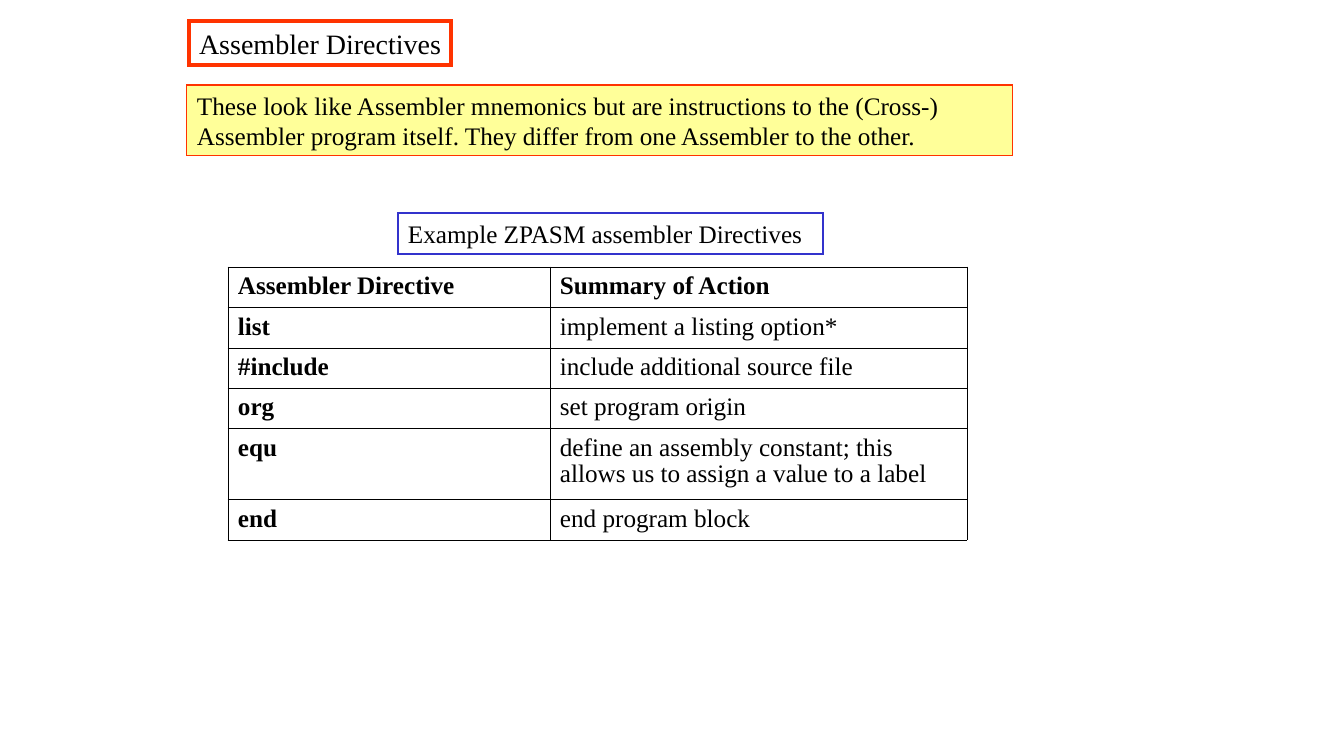
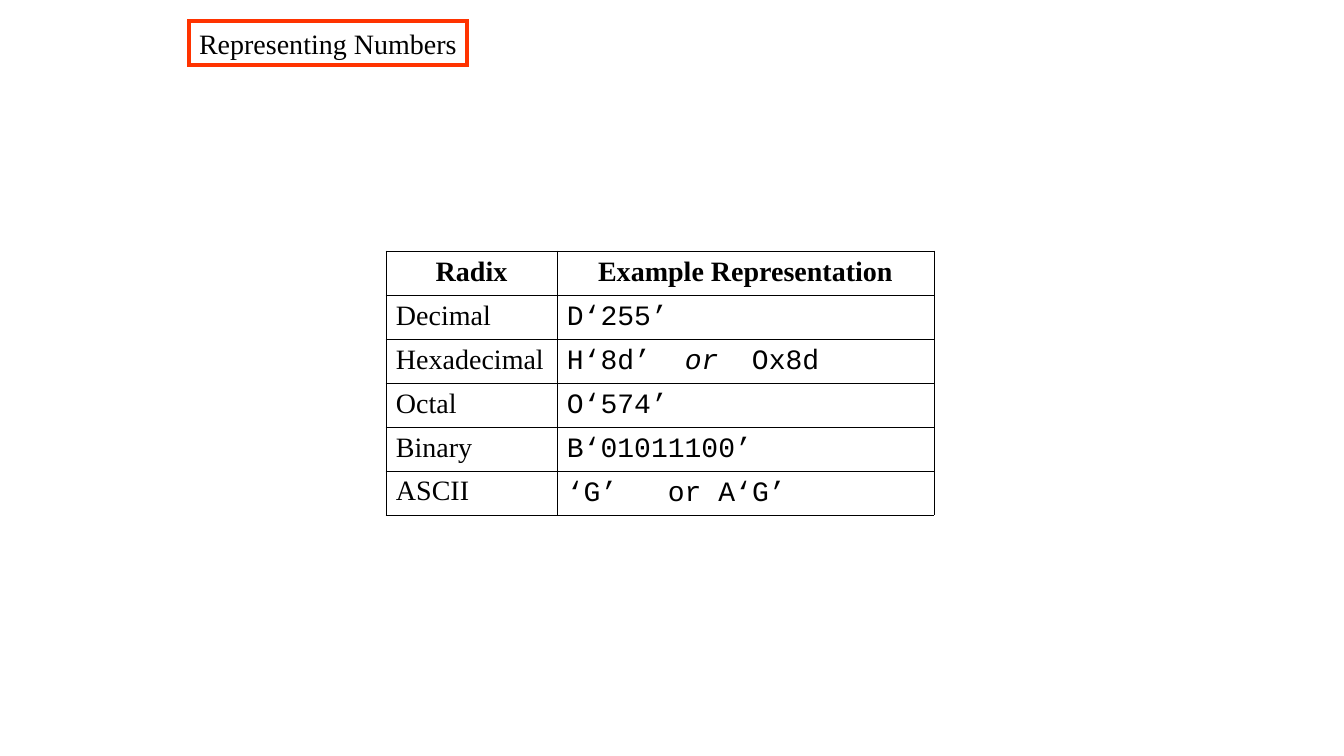
import dataclasses

import lxml.etree
import pptx
import pptx.dml.color
import pptx.enum.text
import pptx.oxml.ns
import pptx.util


@dataclasses.dataclass(frozen=True)
class Theme:
    text: str = "000000"
    accent: str = "FF3300"
    note: str = "FFFF99"
    label: str = "3333CC"
    serif: str = "Times New Roman"
    mono: str = "Courier New"
    large: int = 20
    normal: int = 18


theme = Theme()
qualified = pptx.oxml.ns.qn
color = pptx.dml.color.RGBColor.from_string
align = pptx.enum.text.PP_ALIGN
EMU_PER_PX = 914400 / 100.8


def px(length):
    return pptx.util.Emu(round(length * EMU_PER_PX))


def fill_box(shape, bounds, text, size, line, width, fill=None):
    shape.left, shape.top, shape.width, shape.height = map(px, bounds)
    shape.line.color.rgb = color(line)
    shape.line.width = pptx.util.Pt(width)
    outline = shape._element.spPr.find(qualified("a:ln"))
    lxml.etree.SubElement(outline, qualified("a:miter"), lim="800000")
    if fill:
        shape.fill.solid()
        shape.fill.fore_color.rgb = color(fill)
    frame = shape.text_frame
    frame.text = text
    frame.word_wrap = fill is not None
    frame.auto_size = pptx.enum.text.MSO_AUTO_SIZE.NONE
    frame.vertical_anchor = pptx.enum.text.MSO_ANCHOR.TOP
    frame.margin_left = px(10)
    frame.margin_right = px(0)
    paragraph = frame.paragraphs[0]
    paragraph.alignment = align.LEFT
    paragraph.font.name = theme.serif
    paragraph.font.size = pptx.util.Pt(size)
    paragraph.font.color.rgb = color(theme.text)


pages = [
    {
        "title": "Assembler Directives",
        "title_width": 262,
        "boxes": [
            ((187, 85, 826, 71),
             "These look like Assembler mnemonics but are instructions to the (Cross-) "
             "Assembler program itself. They differ from one Assembler to the other.",
             theme.normal, theme.accent, 0.75, theme.note),
            ((398, 213, 425, 41), "Example ZPASM assembler Directives",
             theme.normal, theme.label, 1),
        ],
        "origin": (228, 267),
        "columns": (322, 417),
        "height": 273,
        "tall_rows": {4: 71},
        "size": theme.normal,
        "header_align": align.LEFT,
        "bold_labels": True,
        "value_font": theme.serif,
        "tabs": {},
        "rows": [
            ("Assembler Directive", "Summary of Action"),
            ("list", "implement a listing option*"),
            ("#include", "include additional source file"),
            ("org", "set program origin"),
            ("equ", "define an assembly constant; this allows us to assign a value to a label"),
            ("end", "end program block"),
        ],
    },
    {
        "title": "Representing Numbers",
        "title_width": 278,
        "boxes": [],
        "origin": (386, 251),
        "columns": (171, 377),
        "height": 264,
        "tall_rows": {},
        "size": theme.large,
        "header_align": align.CENTER,
        "bold_labels": False,
        "value_font": theme.mono,
        "tabs": {2: (118, 185), 5: (101,)},
        "rows": [
            ("Radix", "Example Representation"),
            ("Decimal", "D‘255’"),
            ("Hexadecimal", "H‘8d’\t*or*\tOx8d"),
            ("Octal", "O‘574’"),
            ("Binary", "B‘01011100’"),
            ("ASCII", "‘G’\tor A‘G’"),
        ],
    },
]

presentation = pptx.Presentation()
presentation.slide_width = px(1344)
presentation.slide_height = px(756)

for page in pages:
    slide = presentation.slides.add_slide(presentation.slide_layouts.get_by_name("Title Only"))
    fill_box(slide.shapes.title, (189, 21, page["title_width"], 44), page["title"],
             theme.large, theme.accent, 2.25)
    for bounds, *style in page["boxes"]:
        fill_box(slide.shapes.add_textbox(0, 0, 0, 0), bounds, *style)

    rows, columns, tall_rows = page["rows"], page["columns"], page["tall_rows"]
    frame = slide.shapes.add_table(
        len(rows), len(columns), *map(px, page["origin"]), px(sum(columns)), px(page["height"]))
    table = frame.table
    table.first_row = table.horz_banding = False
    for column, width in zip(table.columns, columns):
        column.width = px(width)
    row_height = (page["height"] - sum(tall_rows.values())) / (len(rows) - len(tall_rows))

    for row_index, texts in enumerate(rows):
        table.rows[row_index].height = px(tall_rows.get(row_index, row_height))
        header = row_index == 0
        for column_index, text in enumerate(texts):
            is_value = column_index == 1
            cell = table.cell(row_index, column_index)
            cell.margin_left = cell.margin_right = px(10)
            cell.margin_top, cell.margin_bottom = px(7), px(5)
            cell.fill.background()
            properties = cell._tc.get_or_add_tcPr()
            for position, side in enumerate(("lnL", "lnR", "lnT", "lnB")):
                border = lxml.etree.Element(qualified(f"a:{side}"), w=str(pptx.util.Pt(0.45)))
                solid = lxml.etree.SubElement(border, qualified("a:solidFill"))
                lxml.etree.SubElement(solid, qualified("a:srgbClr"), val=theme.text)
                properties.insert(position, border)

            paragraph = cell.text_frame.paragraphs[0]
            paragraph.alignment = page["header_align"] if header else align.LEFT
            paragraph.line_spacing = 0.93
            paragraph.font.name = page["value_font"] if is_value and not header else theme.serif
            paragraph.font.size = pptx.util.Pt(page["size"])
            paragraph.font.color.rgb = color(theme.text)
            paragraph.font.bold = header or (page["bold_labels"] and not is_value)
            if is_value and row_index in page["tabs"]:
                tab_list = lxml.etree.Element(qualified("a:tabLst"))
                for stop in page["tabs"][row_index]:
                    lxml.etree.SubElement(tab_list, qualified("a:tab"), pos=str(px(stop)), algn="l")
                paragraph.font._element.addprevious(tab_list)
            parts = text.split("*") if "\t" in text else [text]
            for part_index, part in enumerate(parts):
                run = paragraph.add_run()
                run.text = part
                if part_index % 2:
                    run.font.italic = True

presentation.save("out.pptx")
